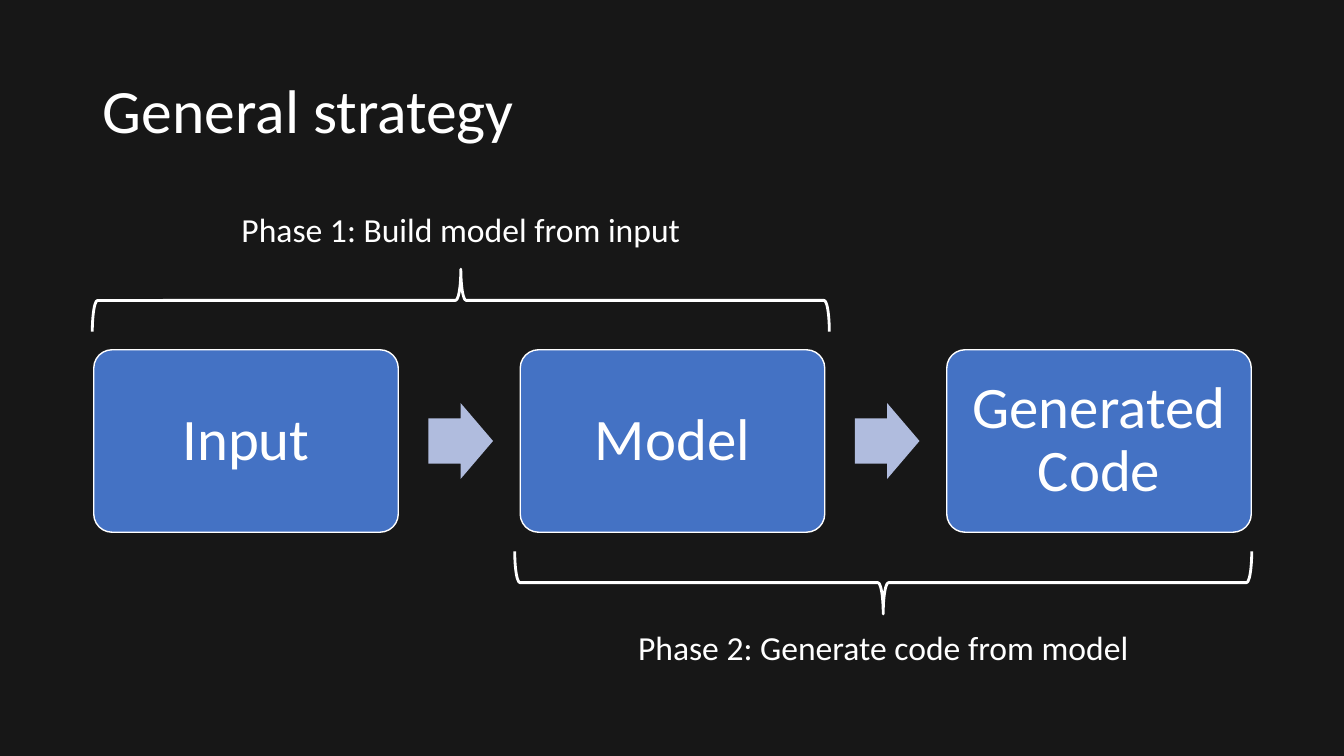
from dataclasses import dataclass

from pptx import Presentation
from pptx.dml.color import RGBColor
from pptx.enum.shapes import MSO_SHAPE
from pptx.enum.text import MSO_ANCHOR, PP_ALIGN
from pptx.util import Inches, Pt

ROUNDED = MSO_SHAPE.ROUNDED_RECTANGLE
ARROW = MSO_SHAPE.RIGHT_ARROW
BRACE = MSO_SHAPE.LEFT_BRACE
MIDDLE = MSO_ANCHOR.MIDDLE
LEFT, CENTER = PP_ALIGN.LEFT, PP_ALIGN.CENTER


@dataclass(frozen=True)
class Theme:
    font: str = "Calibri"
    background: RGBColor = RGBColor(0x17, 0x17, 0x17)
    text: RGBColor = RGBColor(0xFF, 0xFF, 0xFF)
    box: RGBColor = RGBColor(0x44, 0x72, 0xC4)
    arrow: RGBColor = RGBColor(0xB0, 0xBC, 0xDE)
    title_size: int = 44
    box_size: int = 42
    label_size: int = 24


class SlideBuilder:
    def __init__(self, slide, theme):
        self.s = slide
        self.theme = theme
        fill = slide.background.fill
        fill.solid()
        fill.fore_color.rgb = theme.background

    def set_text(self, tf, text, size, align, spacing=1.0):
        tf.word_wrap = True
        p = tf.paragraphs[0]
        p.text = text
        p.alignment = align
        p.line_spacing = spacing
        p.font.name = self.theme.font
        p.font.size = Pt(size)
        p.font.color.rgb = self.theme.text

    def title(self, text, x, y, w, h):
        sp = self.s.shapes.title
        sp.left, sp.top, sp.width, sp.height = map(Inches, (x, y, w, h))
        sp.text_frame.vertical_anchor = MIDDLE
        self.set_text(sp.text_frame, text, self.theme.title_size, LEFT, 0.9)

    def shape(self, kind, x, y, w, h, fill=None, line_width=None):
        sp = self.s.shapes.add_shape(kind, *map(Inches, (x, y, w, h)))
        sp.shadow.inherit = False
        if fill is None:
            sp.fill.background()
        else:
            sp.fill.solid()
            sp.fill.fore_color.rgb = fill
        if line_width is None:
            sp.line.fill.background()
        else:
            sp.line.color.rgb = self.theme.text
            sp.line.width = Pt(line_width)
        return sp

    def box(self, text, x, y, w, h):
        sp = self.shape(ROUNDED, x, y, w, h, self.theme.box, 1)
        sp.adjustments[0] = 0.1
        tf = sp.text_frame
        tf.vertical_anchor = MIDDLE
        tf.margin_left = tf.margin_right = Inches(0.17)
        tf.margin_top = tf.margin_bottom = Inches(0.17)
        self.set_text(tf, text, self.theme.box_size, CENTER, 0.9)

    def arrow(self, x, y, w, h):
        sp = self.shape(ARROW, x, y, w, h, self.theme.arrow)
        sp.adjustments[0] = 0.6

    def brace(self, center_x, center_y, span, depth, rotation):
        sp = self.shape(BRACE, center_x - depth / 2, center_y - span / 2,
                        depth, span, line_width=2)
        sp.rotation = rotation

    def label(self, text, center_x, y, w, h):
        sp = self.s.shapes.add_textbox(
            *map(Inches, (center_x - w / 2, y, w, h)))
        self.set_text(sp.text_frame, text, self.theme.label_size, CENTER)


def main():
    prs = Presentation()
    prs.slide_width, prs.slide_height = Inches(13.33), Inches(7.5)
    s = prs.slides.add_slide(prs.slide_layouts[5])
    builder = SlideBuilder(s, Theme())
    builder.title("General strategy", 0.92, 0.4, 11.5, 1.45)

    first_x, step, box_y, box_w, box_h = 0.93, 4.23, 3.47, 3.02, 1.81
    stages = ["Input", "Model", "Generated Code"]
    for i, stage in enumerate(stages):
        x = first_x + i * step
        builder.box(stage, x, box_y, box_w, box_h)
        if i < len(stages) - 1:
            builder.arrow(x + box_w + 0.3, 4, 0.64, 0.75)

    phases = [
        ("Phase 1: Build model from input", 4.57, 2.98, 90, 2.02),
        ("Phase 2: Generate code from model", 8.76, 5.78, 270, 6.17),
    ]
    for text, center_x, brace_y, rotation, label_y in phases:
        builder.brace(center_x, brace_y, 7.31, 0.62, rotation)
        builder.label(text, center_x, label_y, 5.12, 0.5)

    prs.save("out.pptx")


if __name__ == "__main__":
    main()
